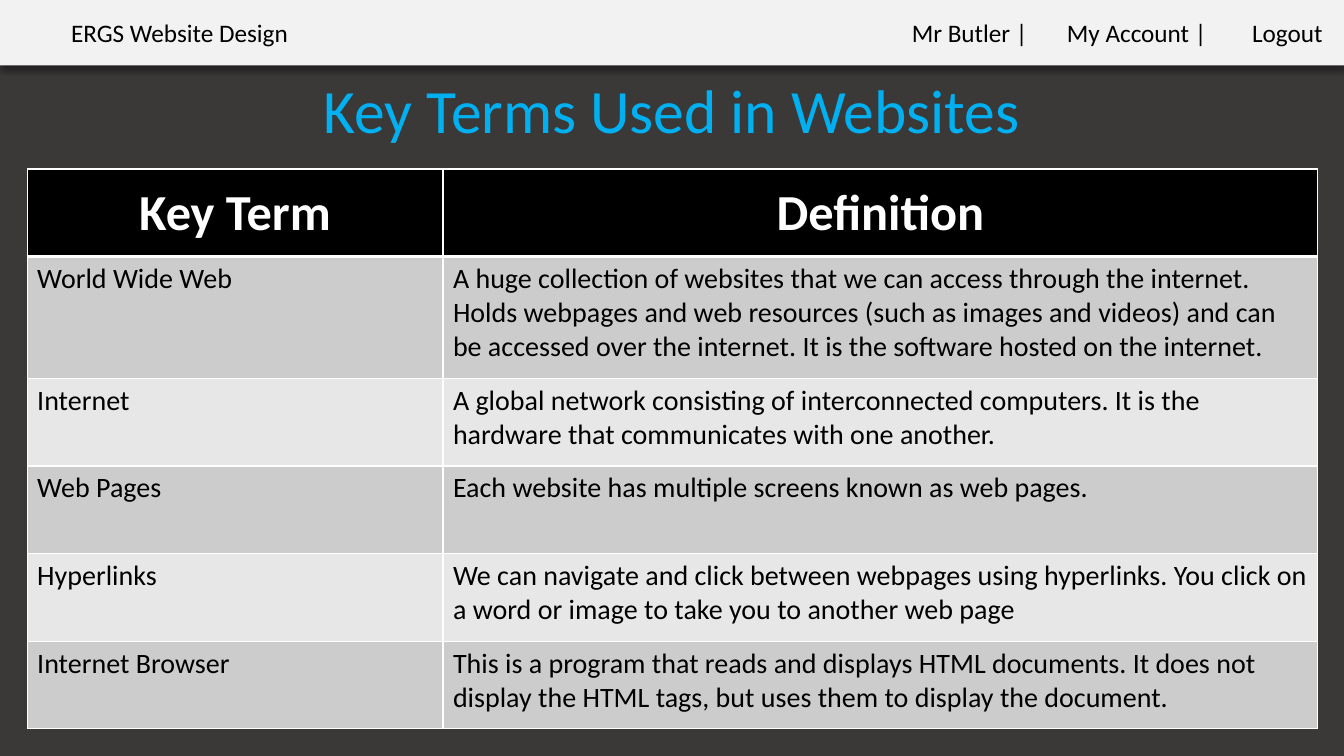
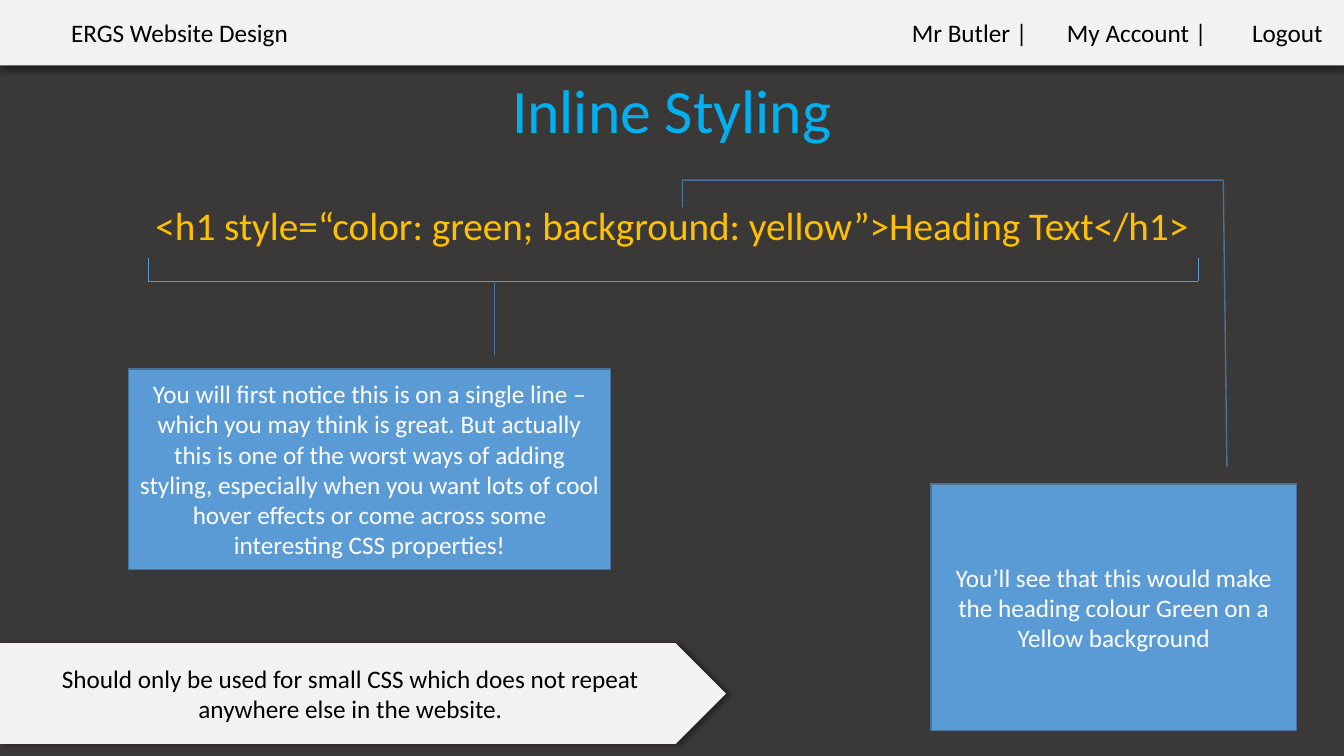
from collections import namedtuple

from lxml.etree import SubElement
from pptx import Presentation
from pptx.dml.color import RGBColor
from pptx.enum.shapes import MSO_CONNECTOR, MSO_SHAPE
from pptx.enum.text import MSO_ANCHOR, PP_ALIGN
from pptx.oxml.ns import qn
from pptx.util import Pt

Box = namedtuple("Box", "left top width height")

COLOURS = {
    "page": "3B3838",
    "band": "F2F2F2",
    "black": "000000",
    "white": "FFFFFF",
    "title": "00B0F0",
    "code": "FFC000",
    "callout": "5B9BD5",
    "outline": "43739E",
    "odd row": "CCCCCC",
    "even row": "E7E7E7",
}
FORMATS = {
    "title": {"size": Pt(44)},
    "code": {"size": Pt(28)},
    "small": {"size": Pt(18)},
    "heading": {"size": Pt(36), "bold": True},
    "cell": {"size": Pt(20), "bold": False},
}
WIDTH, HEIGHT = 960, 540
BAND = Box(0, 0, WIDTH, 46.8)
TITLE = Box(66, 28.8, 828, 104.4)
TERMS = [
    ("World Wide Web", "A huge collection of websites that we can access through the internet. "
     "Holds webpages and web resources (such as images and videos) and can be accessed over "
     "the internet. It is the software hosted on the internet."),
    ("Internet", "A global network consisting of interconnected computers. It is the hardware "
     "that communicates with one another."),
    ("Web Pages", "Each website has multiple screens known as web pages."),
    ("Hyperlinks", "We can navigate and click between webpages using hyperlinks. You click on "
     "a word or image to take you to another web page"),
    ("Internet Browser", "This is a program that reads and displays HTML documents. It does not "
     "display the HTML tags, but uses them to display the document."),
]


def colour(name):
    """Return the named colour."""
    return RGBColor.from_string(COLOURS[name])


def points(box):
    """Return the four measures of a box as lengths."""
    return [Pt(value) for value in box]


def write(frame, text, style, ink, align=PP_ALIGN.LEFT, spacing=None, tabs=()):
    """Write one formatted paragraph into a text frame."""
    frame.word_wrap = True
    para = frame.paragraphs[0]
    for name, value in {"alignment": align, "line_spacing": spacing}.items():
        setattr(para, name, value)
    if tabs:
        stops = SubElement(para._p.get_or_add_pPr(), qn("a:tabLst"))
        for stop in tabs:
            SubElement(stops, qn("a:tab"), pos=str(Pt(stop)), algn="l")
    span = para.add_run()
    span.text = text
    for name, value in {"name": "Calibri", **FORMATS[style]}.items():
        setattr(span.font, name, value)
    span.font.color.rgb = colour(ink)


def add_text(page, box, text, style, ink, anchor=MSO_ANCHOR.TOP, **layout):
    """Add a text box holding one paragraph."""
    frame = page.shapes.add_textbox(*points(box)).text_frame
    frame.vertical_anchor = anchor
    write(frame, text, style, ink, **layout)


def add_block(page, kind, box, fill, outline=None, shadow_angle=None):
    """Add a filled shape with an optional outline and shadow."""
    shape = page.shapes.add_shape(kind, *points(box))
    shape.shadow.inherit = False
    shape.fill.solid()
    shape.fill.fore_color.rgb = colour(fill)
    if outline:
        shape.line.color.rgb = colour(outline)
        shape.line.width = Pt(1)
    else:
        shape.line.fill.background()
    if shadow_angle is not None:
        effects = shape._element.spPr.find(qn("a:effectLst"))
        shadow = SubElement(effects, qn("a:outerShdw"), blurRad=str(Pt(4)), dist=str(Pt(3)),
                            dir=str(shadow_angle * 60000), algn="t", rotWithShape="0")
        shade = SubElement(shadow, qn("a:srgbClr"), val=COLOURS["black"])
        SubElement(shade, qn("a:alpha"), val="40000")
    return shape


def add_line(page, start, end):
    """Add a thin straight line between two points."""
    ends = [Pt(value) for value in (*start, *end)]
    line = page.shapes.add_connector(MSO_CONNECTOR.STRAIGHT, *ends)
    line.line.color.rgb = colour("callout")
    line.line.width = Pt(0.5)
    SubElement(line._element.spPr, qn("a:effectLst"))


def add_header(page, box):
    """Add the site band with its name and account menu."""
    add_block(page, MSO_SHAPE.RECTANGLE, box, "band", shadow_angle=90)
    top = box.top + 8.8
    add_text(page, Box(box.left + 43.7, top, 228, 29), "ERGS Website Design", "small", "black")
    add_text(page, Box(box.left + 644.2, top, 312, 29), "Mr Butler |\tMy Account |\tLogout",
             "small", "black", tabs=(110.8, 243))


def add_page(deck, title):
    """Add a page with the shared background, header and title."""
    page = deck.slides.add_slide(deck.slide_layouts[6])
    page.background.fill.solid()
    page.background.fill.fore_color.rgb = colour("page")
    add_header(page, BAND)
    add_text(page, TITLE, title, "title", "title", MSO_ANCHOR.MIDDLE,
             align=PP_ALIGN.CENTER, spacing=0.9)
    return page


def style_cell(cell, fill, widths):
    """Give a cell white borders and a plain fill."""
    properties = cell._tc.get_or_add_tcPr()
    for side, width in zip("LRTB", widths):
        border = SubElement(properties, qn(f"a:ln{side}"), w=str(Pt(width)))
        SubElement(SubElement(border, qn("a:solidFill")), qn("a:srgbClr"), val=COLOURS["white"])
    cell.fill.solid()
    cell.fill.fore_color.rgb = colour(fill)


def add_terms_table(page, box):
    """Add the table of key terms and definitions."""
    rows = [("Key Term", "Definition"), *TERMS]
    table = page.shapes.add_table(len(rows), 2, *points(box)).table
    term_width, plain_height = 297, 62.6
    tall_height = box.height - plain_height * (len(rows) - 1)
    for column, width in zip(table.columns, (term_width, box.width - term_width)):
        column.width = Pt(width)
    for index, texts in enumerate(rows):
        table.rows[index].height = Pt(tall_height if index == 1 else plain_height)
        for cell, text in zip(table.rows[index].cells, texts):
            if index == 0:
                style_cell(cell, "black", (1, 1, 1, 3))
                cell.vertical_anchor = MSO_ANCHOR.MIDDLE
                write(cell.text_frame, text, "heading", "white", PP_ALIGN.CENTER)
            else:
                style_cell(cell, "odd row" if index % 2 else "even row",
                           (1, 1, 3 if index == 1 else 1, 1))
                write(cell.text_frame, text, "cell", "black")


def add_callout(page, kind, box, text, pointer):
    """Add a callout whose pointer is given as fractions of its box."""
    shape = add_block(page, kind, box, "callout", "outline")
    for index, value in enumerate(pointer):
        shape.adjustments[index] = value
    shape.text_frame.vertical_anchor = MSO_ANCHOR.MIDDLE
    write(shape.text_frame, text, "small", "white", PP_ALIGN.CENTER)


def add_bracket(page, box):
    """Add a bracket open at the top."""
    right, bottom = box.left + box.width, box.top + box.height
    add_line(page, (box.left, bottom), (right, bottom))
    for side in (box.left, right):
        add_line(page, (side, box.top), (side, bottom))


def add_advice(page, box, text):
    """Add the pointed advice banner."""
    banner = add_block(page, MSO_SHAPE.PENTAGON, box, "band", shadow_angle=0)
    banner.text_frame.vertical_anchor = MSO_ANCHOR.MIDDLE
    write(banner.text_frame, text, "small", "black", PP_ALIGN.CENTER)


def build_terms(deck):
    """Build the page of key terms."""
    page = add_page(deck, "Key Terms Used in Websites")
    add_terms_table(page, Box(19.4, 120.7, 922, 400))


def build_styling(deck):
    """Build the page on inline styling."""
    page = add_page(deck, "Inline Styling")
    add_text(page, Box(66, 144, 828, 57), "<h1 style=“color: green; background: yellow”>"
             "Heading Text</h1>", "code", "code", align=PP_ALIGN.CENTER, spacing=0.9)
    add_callout(page, MSO_SHAPE.LINE_CALLOUT_3, Box(665, 345.6, 261, 176.4),
                "You’ll see that this would make the heading colour Green on a Yellow background",
                (-0.07, 0.81, -1.23, 0.8, -1.23, -0.68, -1.12, -0.68))
    add_bracket(page, Box(106, 184.5, 750, 16.3))
    add_callout(page, MSO_SHAPE.LINE_CALLOUT_1, Box(92, 263.5, 344, 143.3),
                "You will first notice this is on a single line – which you may think is great. "
                "But actually this is one of the worst ways of adding styling, especially when "
                "you want lots of cool hover effects or come across some interesting CSS "
                "properties!", (-0.07, 0.76, -0.44, 0.76))
    add_advice(page, Box(0, 459.4, 518.6, 72), "Should only be used for small CSS which does "
               "not repeat anywhere else in the website.")


def main():
    """Build and save the deck."""
    deck = Presentation()
    deck.slide_width, deck.slide_height = Pt(WIDTH), Pt(HEIGHT)
    build_terms(deck)
    build_styling(deck)
    deck.save("out.pptx")


if __name__ == "__main__":
    main()
